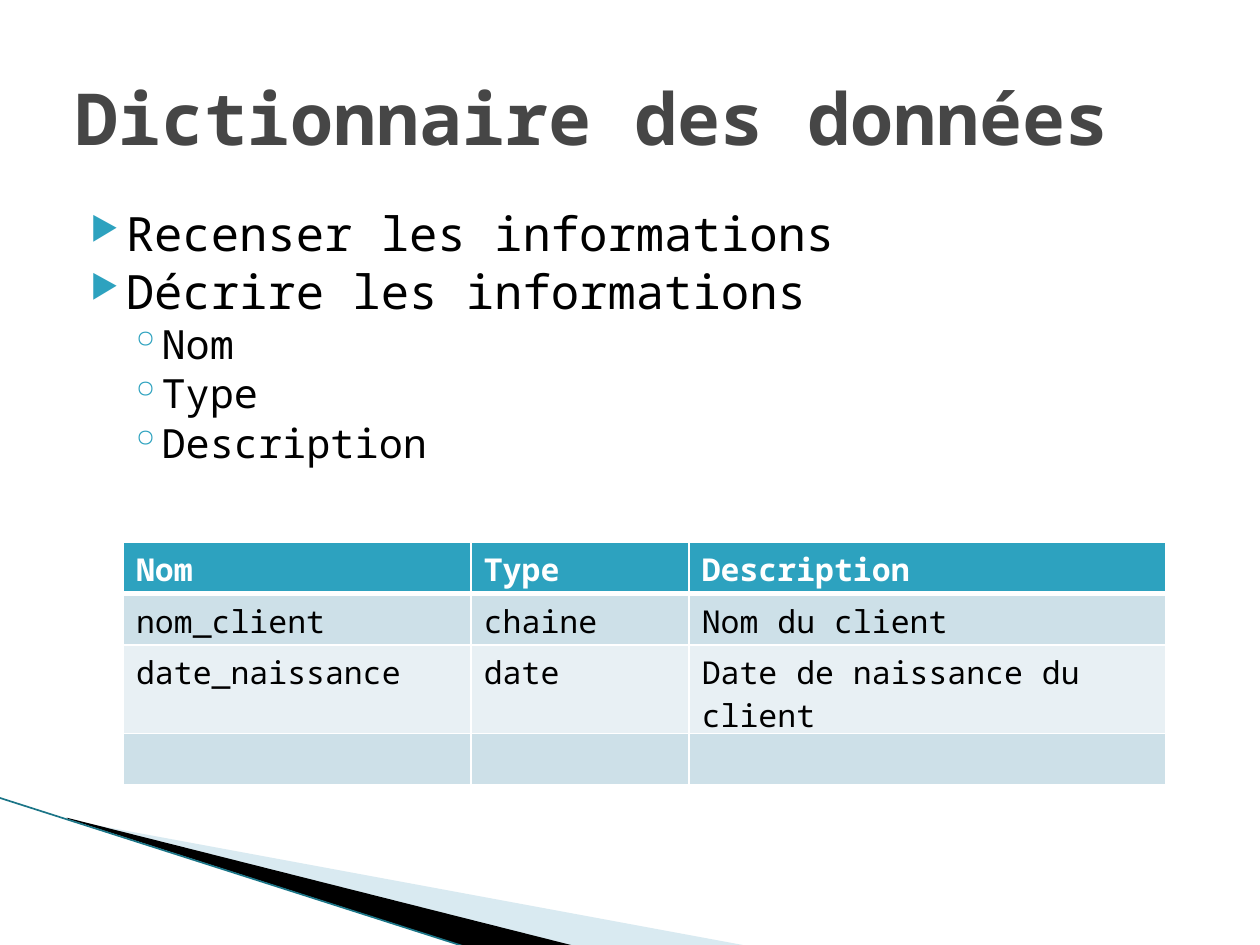
from lxml.etree import SubElement
from pptx import Presentation
from pptx.dml.color import RGBColor
from pptx.enum.shapes import MSO_CONNECTOR
from pptx.enum.text import MSO_ANCHOR
from pptx.oxml.ns import qn
from pptx.util import Inches, Pt

FONT = "Noto Sans Mono"
COLORS = {
    "accent": "2DA2BF", "title": "464646", "text": "000000", "white": "FFFFFF",
    "band": "CDE0E8", "light": "E8F0F4", "wedge": "A0CBDC", "edge": "1B7587",
}
TITLE = "Dictionnaire des données"
BULLETS = [
    (0, "Recenser les informations"),
    (0, "Décrire les informations"),
    (1, "Nom"),
    (1, "Type"),
    (1, "Description"),
]
# Per level: size, space before, left margin, hanging indent, character, bullet percent
LEVELS = [(27, 4, 0.4, 0.28, "▶", 68), (23, 3.2, 0.68, 0.25, "◦", 100)]
ROWS = [
    ("Nom", "Type", "Description"),
    ("nom_client", "chaine", "Nom du client"),
    ("date_naissance", "date", "Date de naissance du client"),
    ("", "", ""),
]
COLUMN_WIDTHS = (2.76, 1.73, 3.78)
ROW_HEIGHT = 0.41
WEDGES = [
    ("wedge", 40, [(0.55, 6.51), (5.95, 7.51), (4.56, 7.51), (0.55, 6.5)]),
    ("text", 100, [(0.53, 6.49), (4.57, 7.51), (3.72, 7.52), (0.54, 6.5)]),
]


def color(name):
    """Return the named colour."""
    return RGBColor.from_string(COLORS[name])


def style(para, size, tint, bold=False):
    """Set the font of a whole paragraph."""
    font = para.font
    font.name, font.size, font.bold = FONT, Pt(size), bold
    font.color.rgb = color(tint)


def add_wedge(page, tint, opacity, points):
    """Draw one filled corner wedge."""
    corners = [(Inches(x), Inches(y)) for x, y in points]
    builder = page.shapes.build_freeform(*corners[0])
    builder.add_line_segments(corners[1:], close=True)
    wedge = builder.convert_to_shape()
    wedge.shadow.inherit = False
    wedge.line.fill.background()
    wedge.fill.solid()
    wedge.fill.fore_color.rgb = color(tint)
    if opacity < 100:
        tone = wedge._element.spPr.find(qn("a:solidFill"))[0]
        SubElement(tone, qn("a:alpha"), val=str(opacity * 1000))


def add_edge(page):
    """Draw the thin line along the corner."""
    edge = page.shapes.add_connector(
        MSO_CONNECTOR.STRAIGHT, Inches(-0.01), Inches(6.33), Inches(3.71), Inches(7.52))
    edge.line.color.rgb = color("edge")
    edge.line.width = Pt(0.95)
    SubElement(edge._element.spPr, qn("a:effectLst"))


def add_box(page, left, top, width, height):
    """Add a wrapping text box and return its frame."""
    box = page.shapes.add_textbox(*map(Inches, (left, top, width, height)))
    box.text_frame.word_wrap = True
    return box.text_frame


def add_bullets(frame):
    """Write the two-level bullet list."""
    for index, (level, words) in enumerate(BULLETS):
        size, before, margin, hang, mark, percent = LEVELS[level]
        para = frame.add_paragraph() if index else frame.paragraphs[0]
        para.text, para.level = words, level
        para.line_spacing, para.space_before = 0.9, Pt(before)
        props = para._p.get_or_add_pPr()
        props.set("marL", str(Inches(margin)))
        props.set("indent", str(-Inches(hang)))
        tint = SubElement(props, qn("a:buClr"))
        SubElement(tint, qn("a:srgbClr"), val=COLORS["accent"])
        SubElement(props, qn("a:buSzPct"), val=str(percent * 1000))
        SubElement(props, qn("a:buChar"), char=mark)
        style(para, size, "text")


def set_borders(cell, widths):
    """Give a cell white borders; widths are points by side tag."""
    props = cell._tc.get_or_add_tcPr()
    for index, (side, width) in enumerate(widths.items()):
        line = props.makeelement(qn(f"a:{side}"), {"w": str(Pt(width))})
        fill = SubElement(line, qn("a:solidFill"))
        SubElement(fill, qn("a:srgbClr"), val=COLORS["white"])
        props.insert(index, line)


def add_dictionary(page):
    """Add the data dictionary table."""
    table = page.shapes.add_table(
        len(ROWS), len(COLUMN_WIDTHS), Inches(0.98), Inches(4.3),
        Inches(sum(COLUMN_WIDTHS)), Inches(ROW_HEIGHT * len(ROWS))).table
    for column, width in zip(table.columns, COLUMN_WIDTHS):
        column.width = Inches(width)
    for r, texts in enumerate(ROWS):
        table.rows[r].height = Inches(ROW_HEIGHT)
        header = r == 0
        fill = "accent" if header else ("light", "band")[r % 2]
        for c, words in enumerate(texts):
            cell = table.cell(r, c)
            cell.text = words
            style(cell.text_frame.paragraphs[0], 18, "white" if header else "text", header)
            cell.fill.solid()
            cell.fill.fore_color.rgb = color(fill)
            set_borders(cell, {"lnL": 1, "lnR": 1, "lnT": 3 if r == 1 else 1,
                               "lnB": 3 if header else 1})


deck = Presentation()
deck.slide_width, deck.slide_height = Inches(10), Inches(7.5)
page = deck.slides.add_slide(deck.slide_layouts[6])
for wedge in WEDGES:
    add_wedge(page, *wedge)
add_edge(page)
add_bullets(add_box(page, 0.5, 1.62, 9, 4.95))
heading = add_box(page, 0.5, 0.3, 9, 1.25)
heading.vertical_anchor = MSO_ANCHOR.MIDDLE
heading.text = TITLE
style(heading.paragraphs[0], 41, "title", True)
add_dictionary(page)
deck.save("out.pptx")
